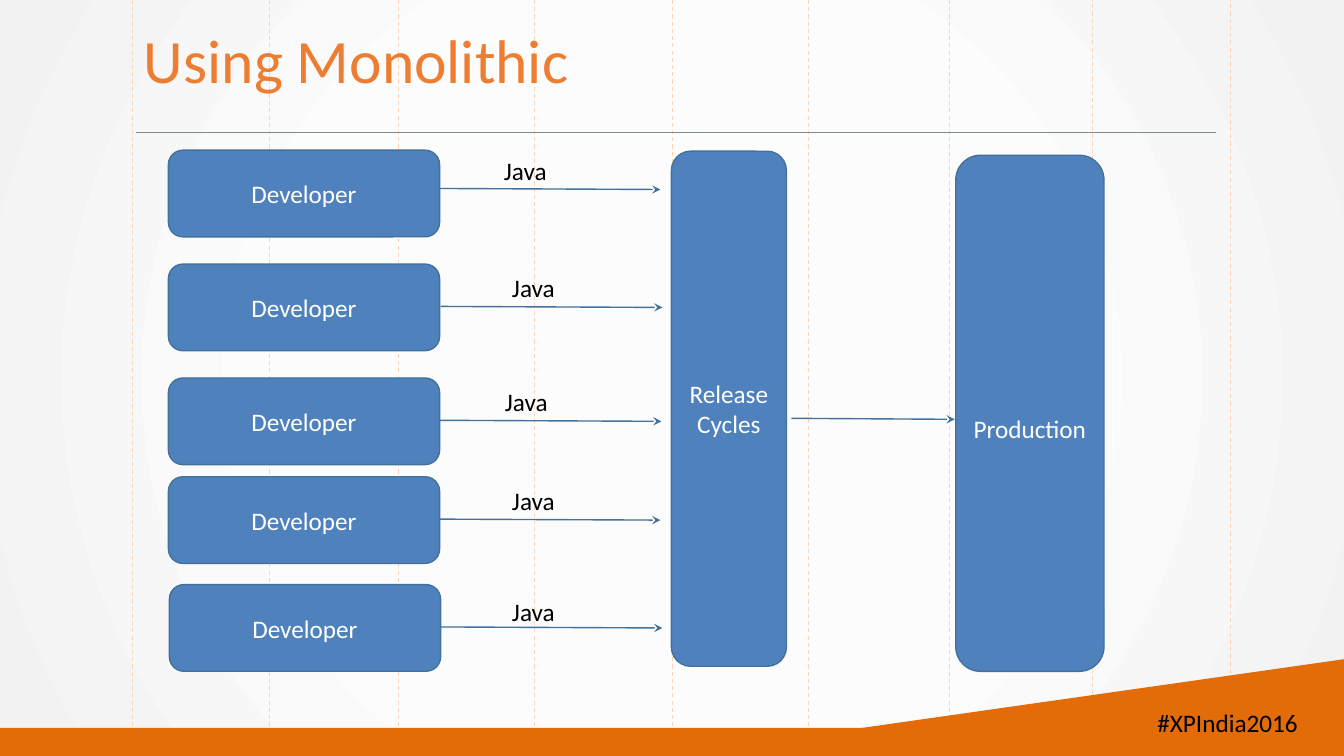
from lxml.etree import SubElement
from pptx import Presentation
from pptx.dml.color import RGBColor
from pptx.enum.dml import MSO_LINE as Dash
from pptx.enum.shapes import MSO_CONNECTOR as Link, MSO_SHAPE as Kind
from pptx.enum.text import MSO_ANCHOR as Anchor, PP_ALIGN as Align
from pptx.oxml import parse_xml
from pptx.oxml.ns import nsdecls, qn
from pptx.util import Inches, Pt


def paint(text):
    return RGBColor.from_string(text)


class Deck:
    """Holds the style and the current slide, and draws each kind of element."""

    font = "Calibri"
    blue, edge = "4F81BD", "42719B"
    orange, pale, grey = "E36C09", "FBD4B4", "7F8C8C"

    def __init__(self, prs):
        self.slide = prs.slides.add_slide(prs.slide_layouts[6])
        self.shapes = self.slide.shapes

    def glow(self, stops):
        self.slide.background.fill.solid()
        old = self.slide.element.find(".//" + qn("a:solidFill"))
        marks = "".join(
            f'<a:gs pos="{pos * 1000}"><a:srgbClr val="{tone}"/></a:gs>'
            for pos, tone in stops)
        new = parse_xml(
            f'<a:gradFill {nsdecls("a")} rotWithShape="1"><a:gsLst>{marks}</a:gsLst>'
            '<a:path path="circle"><a:fillToRect l="50000" t="50000" r="50000" b="50000"/>'
            '</a:path></a:gradFill>')
        old.getparent().replace(old, new)

    def line(self, x1, y1, x2, y2, tone, width=0.75, dash=False, arrow=False):
        link = self.shapes.add_connector(
            Link.STRAIGHT, Inches(x1), Inches(y1), Inches(x2), Inches(y2))
        link.line.color.rgb = paint(tone)
        link.line.width = Pt(width)
        if dash:
            link.line.dash_style = Dash.DASH
        props = link.element.spPr
        if arrow:
            SubElement(props.find(qn("a:ln")), qn("a:tailEnd"), type="stealth")
        SubElement(props, qn("a:effectLst"))

    def arrow(self, x1, y1, x2, y2):
        self.line(x1, y1, x2, y2, self.edge, 1, arrow=True)

    def fill(self, shape, tone):
        shape.shadow.inherit = False
        shape.fill.solid()
        shape.fill.fore_color.rgb = paint(tone)
        shape.line.fill.background()

    def band(self, x, y, w, h):
        shape = self.shapes.add_shape(
            Kind.RECTANGLE, Inches(x), Inches(y), Inches(w), Inches(h))
        self.fill(shape, self.orange)

    def wedge(self, points):
        first, *rest = [(Inches(x), Inches(y)) for x, y in points]
        pen = self.shapes.build_freeform(*first)
        pen.add_line_segments(rest)
        self.fill(pen.convert_to_shape(), self.orange)

    def put(self, shape, text, tone, size, align, anchor):
        frame = shape.text_frame
        frame.text = text
        frame.word_wrap = True
        frame.vertical_anchor = anchor
        para = frame.paragraphs[0]
        para.alignment = align
        font = para.runs[0].font
        font.name, font.size = self.font, Pt(size)
        font.color.rgb = paint(tone)
        return frame

    def label(self, x, y, w, h, text, tone="000000", size=18,
              align=Align.CENTER, anchor=Anchor.TOP):
        box = self.shapes.add_textbox(Inches(x), Inches(y), Inches(w), Inches(h))
        return self.put(box, text, tone, size, align, anchor)

    def block(self, x, y, w, h, text):
        shape = self.shapes.add_shape(
            Kind.ROUNDED_RECTANGLE, Inches(x), Inches(y), Inches(w), Inches(h))
        self.fill(shape, self.blue)
        shape.line.color.rgb = paint(self.edge)
        shape.line.width = Pt(1)
        return self.put(shape, text, "FFFFFF", 18, Align.CENTER, Anchor.MIDDLE)


def main():
    prs = Presentation()
    prs.slide_width, prs.slide_height = Inches(13.33), Inches(7.5)
    deck = Deck(prs)

    deck.glow([(0, "FFFFFF"), (48, "FCFCFC"), (100, "F2F2F2")])
    for x in (1.31, 2.67, 3.95, 5.3, 6.67, 8.02, 9.42, 10.84, 12.2):
        top = -0.03 if x > 10 else 0
        deck.line(x, top, x, top + 7.5, deck.pale, dash=True)
    deck.band(0, 7.22, 13.33, 0.28)
    deck.wedge([(8.14, 7.28), (13.33, 6.54), (13.33, 7.44), (8.16, 7.44)])
    deck.label(11.36, 6.97, 1.61, 0.4, "#XPIndia2016", align=Align.RIGHT)
    deck.line(1.35, 1.31, 12.06, 1.31, deck.grey)
    title = deck.label(1.33, 0.01, 12, 1.25, "Using Monolithic", "ED7D31", 44,
                       Align.LEFT, Anchor.MIDDLE)
    title.paragraphs[0].line_spacing = 0.9

    rows = [
        (1.67, 1.49, 4.35, 1.87, 3.77, 1.49),
        (1.67, 2.62, 4.37, 3.04, 3.85, 2.65),
        (1.67, 3.75, 4.36, 4.17, 3.78, 3.78),
        (1.67, 4.73, 4.35, 5.15, 3.85, 4.77),
        (1.68, 5.8, 4.37, 6.22, 3.85, 5.87),
    ]
    for left, top, start, mid, side, head in rows:
        deck.block(left, top, 2.69, 0.86, "Developer")
        deck.arrow(start, mid, start + 2.2, mid + 0.01)
        deck.label(side, head, 2.88, 0.39, "Java")

    goal = deck.block(9.48, 1.54, 1.47, 5.12, "Production")
    goal.margin_top = Inches(0.35)
    deck.arrow(7.85, 4.15, 9.47, 4.16)
    deck.block(6.66, 1.5, 1.14, 5.11, "Release Cycles")

    prs.save("out.pptx")


if __name__ == "__main__":
    main()
